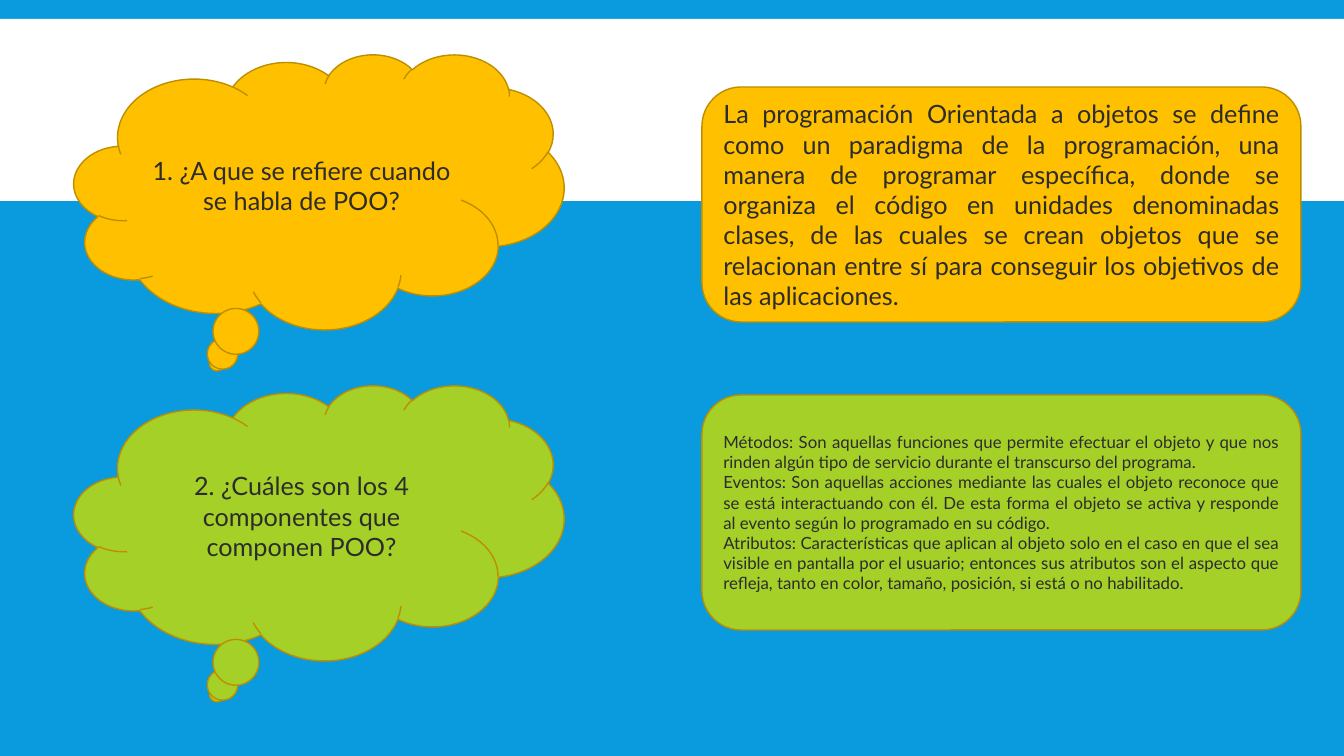
from pptx import Presentation
from pptx import util as u
from pptx.dml.color import RGBColor
from pptx.enum import shapes, text

PX = 914400 / 100.8
COLORS = {
    "background": "099BDD",
    "band": "FFFFFF",
    "amber": "FFC000",
    "green": "A5D028",
    "outline": "BD8E00",
    "ink": "2C2C2C",
}


def px(n):
    return u.Emu(round(n * PX))


def rgb(name):
    return RGBColor.from_string(COLORS[name])


class Deck:
    def __init__(self, width, height):
        self.prs = Presentation()
        self.prs.slide_width, self.prs.slide_height = px(width), px(height)
        self.s = self.prs.slides.add_slide(self.prs.slide_layouts[6])
        fill = self.s.background.fill
        fill.solid()
        fill.fore_color.rgb = rgb("background")

    def shape(self, kind, box, color, line=None):
        sp = self.s.shapes.add_shape(kind, *map(px, box))
        sp.shadow.inherit = False
        sp.fill.solid()
        sp.fill.fore_color.rgb = rgb(color)
        if line:
            sp.line.color.rgb = rgb(line)
            sp.line.width = u.Pt(1)
        else:
            sp.line.fill.background()
        return sp

    def label(self, kind, box, color, paragraphs, size, align):
        tf = self.shape(kind, box, color, "outline").text_frame
        tf.word_wrap = True
        tf.vertical_anchor = text.MSO_ANCHOR.MIDDLE
        tf.text = "\n".join(paragraphs)
        for p in tf.paragraphs:
            p.alignment = align
            p.font.name = "Lato"
            p.font.size = u.Pt(size)
            p.font.color.rgb = rgb("ink")

    def question(self, y, color, words):
        self.label(shapes.MSO_SHAPE.CLOUD_CALLOUT, (74, y, 490, 275), color,
                   [words], 18, text.PP_ALIGN.CENTER)

    def answer(self, y, color, paragraphs, size):
        self.label(shapes.MSO_SHAPE.ROUNDED_RECTANGLE, (702, y, 599, 235), color,
                   paragraphs, size, text.PP_ALIGN.JUSTIFY)


deck = Deck(1344, 756)
deck.shape(shapes.MSO_SHAPE.RECTANGLE, (0, 19, 1344, 182), "band")

deck.question(54, "amber", "1. ¿A que se refiere cuando se habla de POO?")
deck.question(385, "green", "2. ¿Cuáles son los 4 componentes que componen POO?")

deck.answer(87, "amber", [
    "La programación Orientada a objetos se define como un paradigma de la "
    "programación, una manera de programar específica, donde se organiza el "
    "código en unidades denominadas clases, de las cuales se crean objetos que "
    "se relacionan entre sí para conseguir los objetivos de las aplicaciones.",
], 18)
deck.answer(395, "green", [
    "Métodos: Son aquellas funciones que permite efectuar el objeto y que nos "
    "rinden algún tipo de servicio durante el transcurso del programa.",
    "Eventos: Son aquellas acciones mediante las cuales el objeto reconoce que "
    "se está interactuando con él. De esta forma el objeto se activa y responde "
    "al evento según lo programado en su código.",
    "Atributos: Características que aplican al objeto solo en el caso en que el "
    "sea visible en pantalla por el usuario; entonces sus atributos son el "
    "aspecto que refleja, tanto en color, tamaño, posición, si está o no "
    "habilitado.",
], 12)

deck.prs.save("out.pptx")
